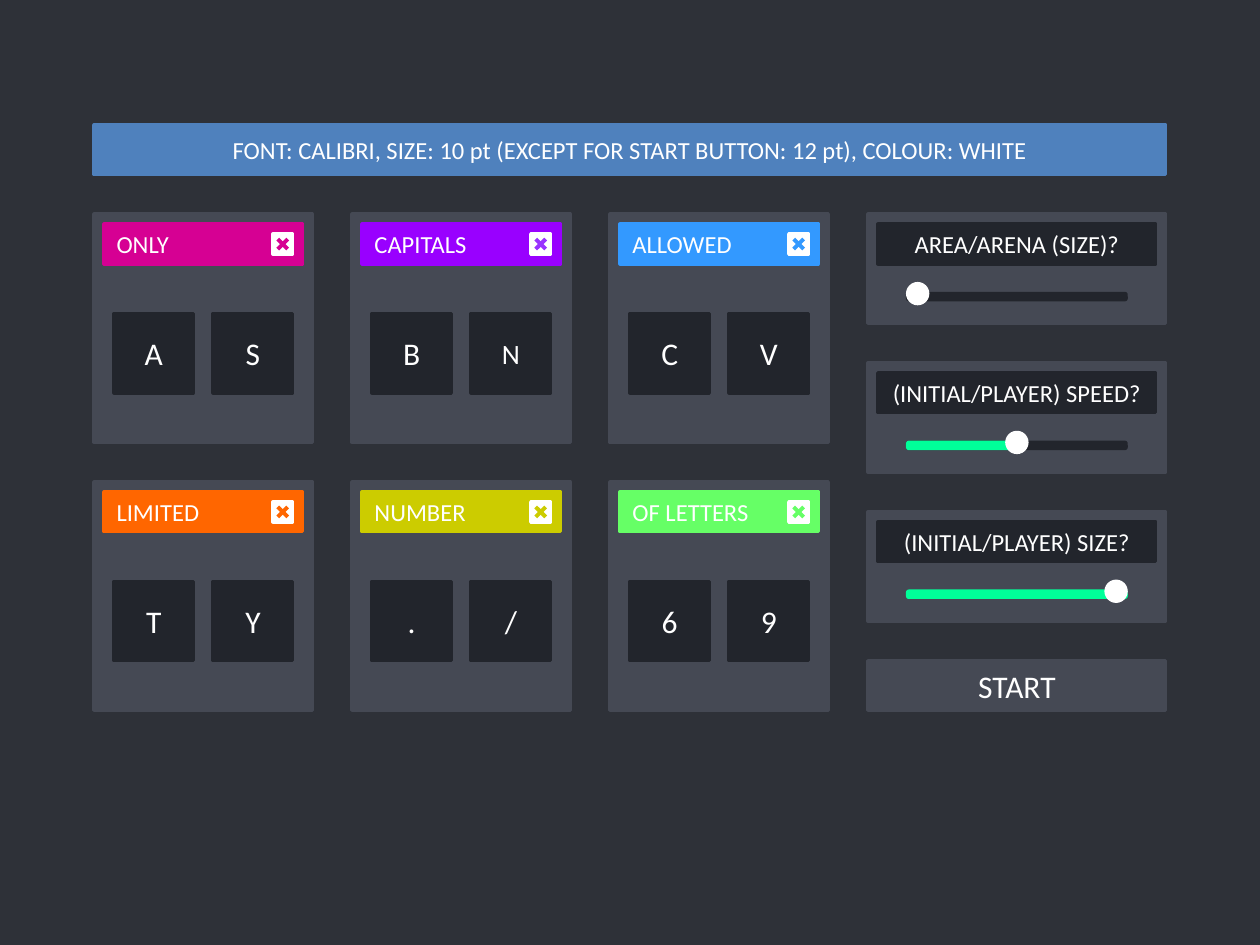
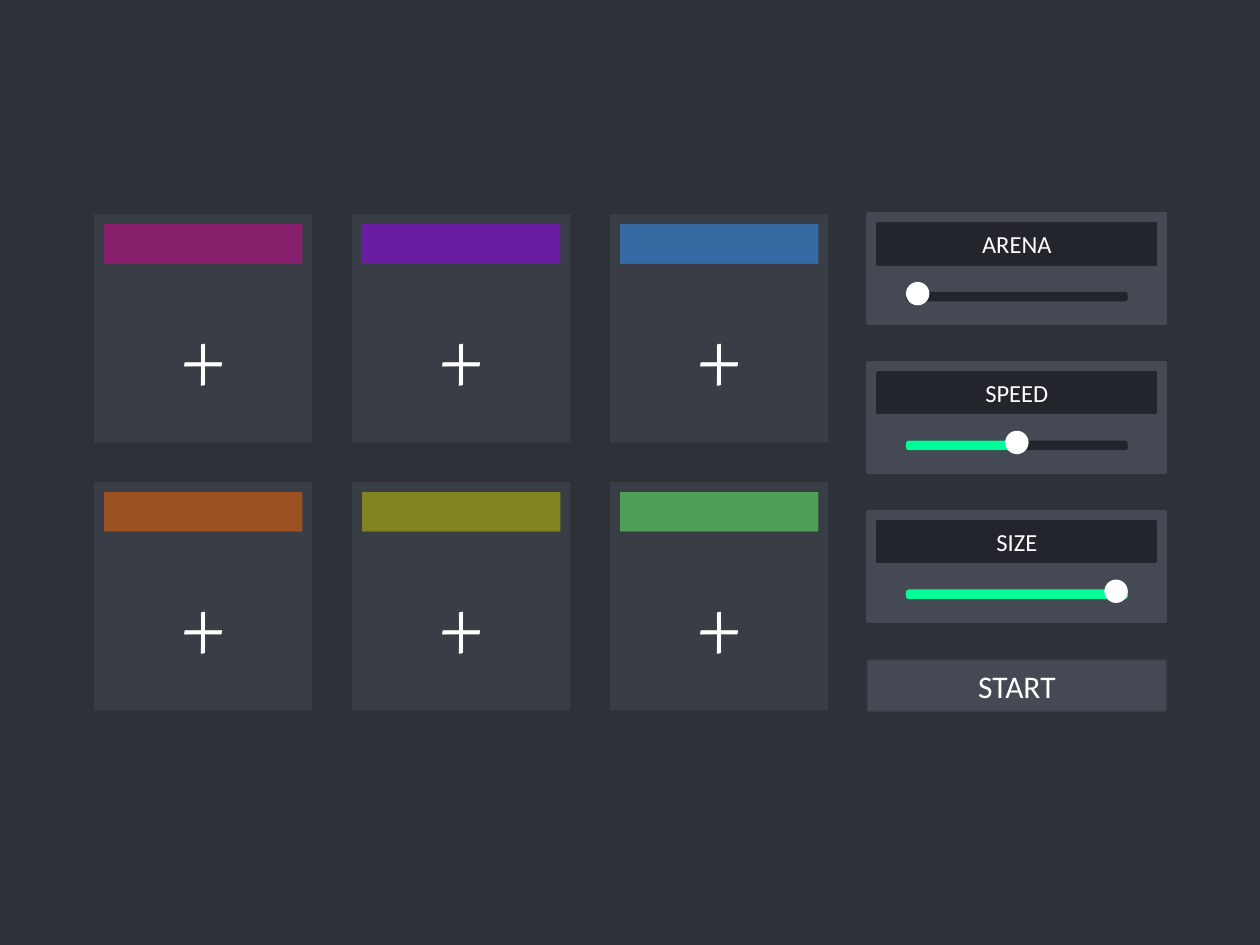
"""Build the two game-menu slides: a style guide with player cards, and the empty lobby."""
from lxml import etree
from pptx import Presentation
from pptx.dml import color
from pptx.enum import shapes, text
from pptx.oxml import ns
from pptx.util import Cm, Pt

BACKGROUND, PANEL, DARK = "2E3138", "454954", "22252C"
WHITE, GREEN, BLUE = "FFFFFF", "00FF99", "4F81BD"
FONT, PLUS_FONT = "Calibri", "Vollkorn"
LABEL_SIZE, BUTTON_SIZE, PLUS_SIZE = 14, 18, 48

BANNER = "FONT: CALIBRI, SIZE: 10 pt (EXCEPT FOR START BUTTON: 12 pt), COLOUR: WHITE"
PLAYERS = [
    ("ONLY", "D60093", "D60093", [("A", 18), ("S", 18)]),
    ("CAPITALS", "9900FF", "9933FF", [("B", 18), ("N", 16)]),
    ("ALLOWED", "3399FF", "3399FF", [("C", 18), ("V", 18)]),
    ("LIMITED", "FF6600", "FF6600", [("T", 18), ("Y", 18)]),
    ("NUMBER", "CCCC00", "CCCC00", [(".", 18), ("/", 18)]),
    ("OF LETTERS", "66FF66", "66FF66", [("6", 18), ("9", 18)]),
]
GUIDE_SETTINGS = [("AREA/ARENA (SIZE)?", 0), ("(INITIAL/PLAYER) SPEED?", 0.5),
                  ("(INITIAL/PLAYER) SIZE?", 1)]
LOBBY_SETTINGS = [("ARENA", 0), ("SPEED", 0.5), ("SIZE", 1)]

LEFT, TOP, COLUMNS = 1.9, 4.32, 3
CARD_W, CARD_H, CARD_STEP_X, CARD_STEP_Y = 4.4, 4.6, 5.2, 5.4
SIDE_LEFT, SIDE_W, SIDE_H, SIDE_STEP = 17.5, 6, 2.2, 3
PAD, LABEL_H, BAR_H = 0.2, 0.8, 1
KEY, KEY_STEP = 1.6, 2
KNOB, TRACK_W, TRACK_H = 0.4, 4.4, 0.12

RECT = shapes.MSO_SHAPE.RECTANGLE
ROUND = shapes.MSO_SHAPE.ROUNDED_RECTANGLE
OVAL = shapes.MSO_SHAPE.OVAL


def rgb(code):
    return color.RGBColor.from_string(code)


def fade(properties):
    tint = properties.find(".//" + ns.qn("a:srgbClr"))
    etree.SubElement(tint, ns.qn("a:alpha"), val="50000")


def block(parent, x, y, w, h, fill, kind=RECT, outlined=True):
    part = parent.shapes.add_shape(kind, Cm(x), Cm(y), Cm(w), Cm(h))
    part.shadow.inherit = False
    part.fill.solid()
    part.fill.fore_color.rgb = rgb(fill)
    if outlined:
        part.line.color.rgb = rgb(fill)
        part.line.width = Pt(2)
    else:
        part.line.fill.background()
        fade(part._element.spPr)
    return part


def write(part, words, size=LABEL_SIZE, align=text.PP_ALIGN.CENTER, font=FONT):
    part.text_frame.vertical_anchor = text.MSO_ANCHOR.MIDDLE
    paragraph = part.text_frame.paragraphs[0]
    paragraph.text = words
    paragraph.alignment = align
    paragraph.font.name = font
    paragraph.font.size = Pt(size)
    paragraph.font.color.rgb = rgb(WHITE)


def close_badge(slide, x, y, tint):
    badge = slide.shapes.add_group_shape()
    block(badge, x, y, KNOB, KNOB, WHITE)
    near, far = KNOB / 4, KNOB * 3 / 4
    for start, end in ((far, near), (near, far)):
        stroke = badge.shapes.add_connector(
            shapes.MSO_CONNECTOR.STRAIGHT,
            Cm(x + far), Cm(y + start), Cm(x + near), Cm(y + end))
        stroke.line.color.rgb = rgb(tint)
        stroke.line.width = Pt(2.25)
        etree.SubElement(stroke._element.spPr, ns.qn("a:effectLst"))


def player_card(slide, x, y, name, tint, cross, keys):
    block(slide, x, y, CARD_W, CARD_H, PANEL)
    header = block(slide, x + PAD, y + PAD, CARD_W - 2 * PAD, LABEL_H, tint)
    write(header, name, align=text.PP_ALIGN.LEFT)
    close_badge(slide, x + CARD_W - 2 * PAD - KNOB, y + 2 * PAD, cross)
    for i, (letter, size) in enumerate(keys):
        key = block(slide, x + 2 * PAD + i * KEY_STEP, y + 2, KEY, KEY, DARK)
        write(key, letter, size)


def empty_card(slide, x, y, name, tint, cross, keys):
    block(slide, x, y, CARD_W, BAR_H, PANEL, outlined=False)
    block(slide, x + PAD, y + PAD, CARD_W - 2 * PAD, LABEL_H, tint, outlined=False)
    body = block(slide, x, y + BAR_H, CARD_W, CARD_H - BAR_H, PANEL, outlined=False)
    write(body, "+", PLUS_SIZE, font=PLUS_FONT)


def setting(slide, y, name, level):
    block(slide, SIDE_LEFT, y, SIDE_W, SIDE_H, PANEL)
    write(block(slide, SIDE_LEFT + PAD, y + PAD, SIDE_W - 2 * PAD, LABEL_H, DARK), name)
    x = SIDE_LEFT + (SIDE_W - TRACK_W) / 2
    if level < 1:
        block(slide, x, y + 1.6, TRACK_W, TRACK_H, DARK, ROUND)
    if level > 0:
        block(slide, x, y + 1.6, TRACK_W * level, TRACK_H, GREEN, ROUND)
    block(slide, x + (TRACK_W - KNOB) * level, y + 1.4, KNOB, KNOB, WHITE, OVAL)


def menu(deck, card, settings):
    slide = deck.slides.add_slide(deck.slide_layouts[6])
    slide.background.fill.solid()
    slide.background.fill.fore_color.rgb = rgb(BACKGROUND)
    for i, player in enumerate(PLAYERS):
        row, column = divmod(i, COLUMNS)
        card(slide, LEFT + column * CARD_STEP_X, TOP + row * CARD_STEP_Y, *player)
    for i, (name, level) in enumerate(settings):
        setting(slide, TOP + i * SIDE_STEP, name, level)
    start = block(slide, SIDE_LEFT, TOP + len(settings) * SIDE_STEP, SIDE_W, BAR_H, PANEL)
    write(start, "START", BUTTON_SIZE)
    return slide, start


deck = Presentation()
deck.slide_width, deck.slide_height = Cm(25.4), Cm(19.05)

guide, _ = menu(deck, player_card, GUIDE_SETTINGS)
write(block(guide, LEFT, 2.52, SIDE_LEFT + SIDE_W - LEFT, BAR_H, BLUE), BANNER)

_, lobby_start = menu(deck, empty_card, LOBBY_SETTINGS)
fade(lobby_start.line._ln)

deck.save("out.pptx")
